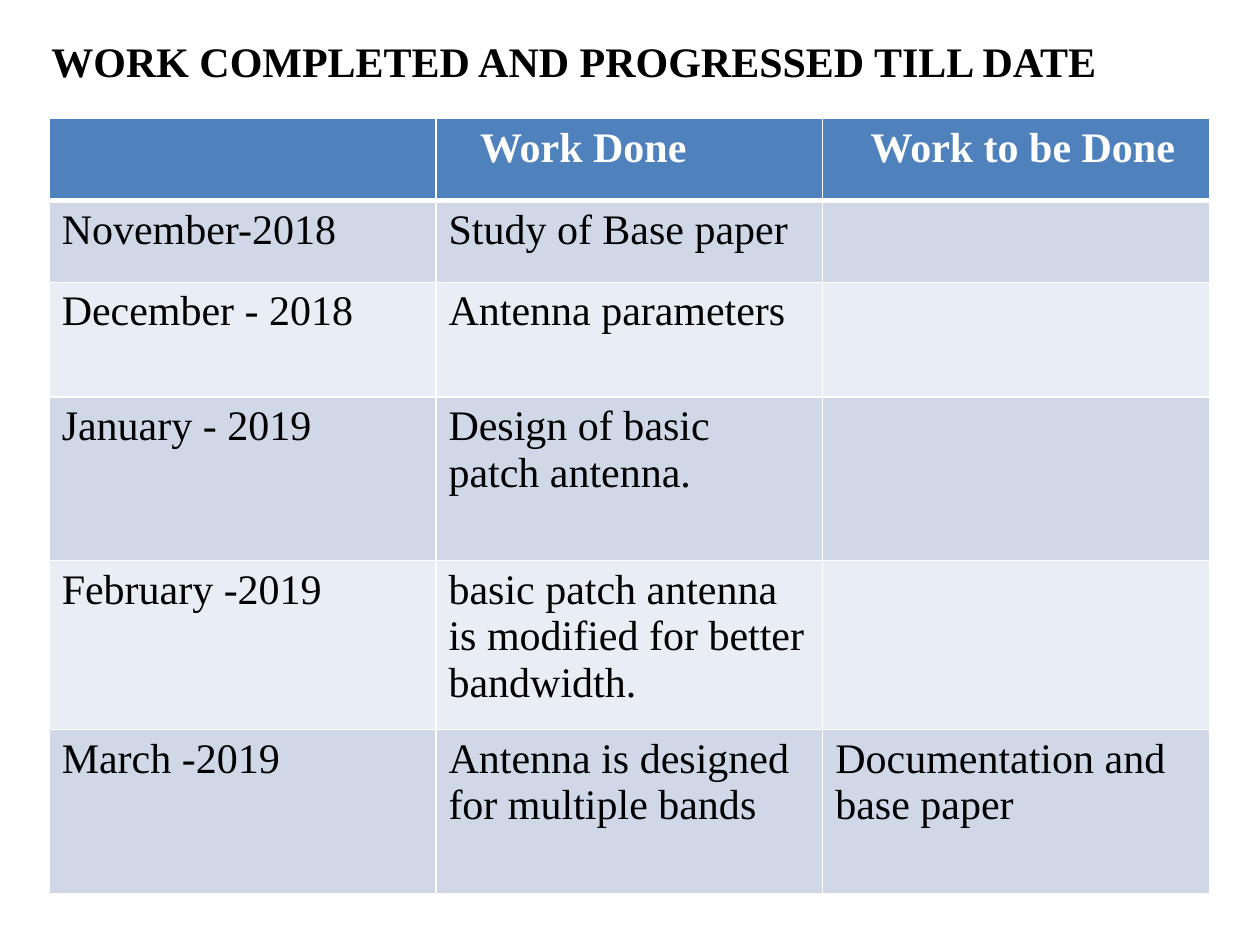
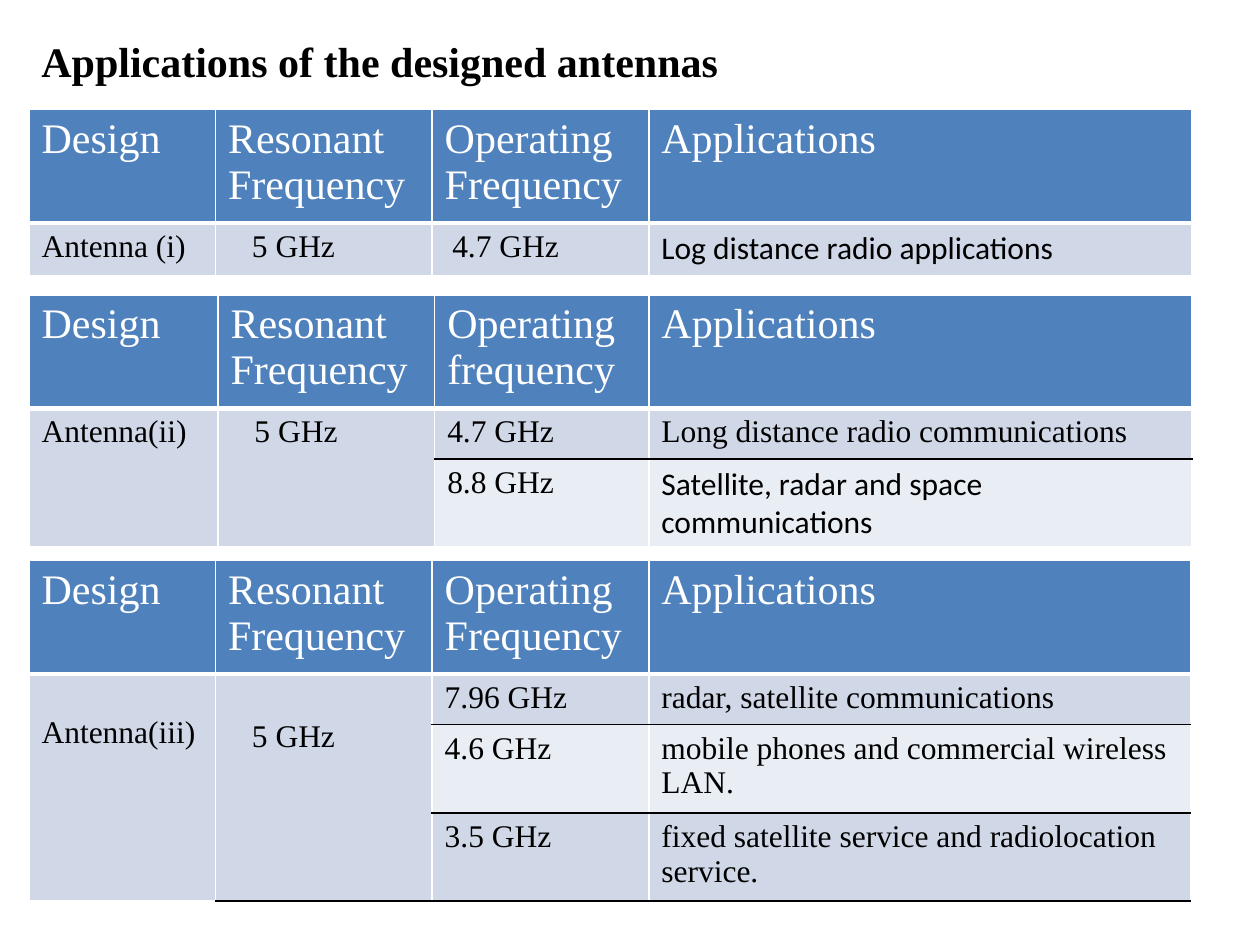
from dataclasses import dataclass

from lxml import etree
from pptx import Presentation
from pptx.dml.color import RGBColor
from pptx.oxml import ns
from pptx.util import Inches, Pt

SERIF, SANS = "Times New Roman", "Calibri"
HEADER, BAND_DARK, BAND_LIGHT = "4F81BD", "D0D8E8", "E9EDF4"
WHITE, BLACK = "FFFFFF", "000000"
THIN, THICK, RULE = (WHITE, 1), (WHITE, 3), (BLACK, 1)
TITLE_TOP, TITLE_HEIGHT = 0.23, 0.5
CELL_LEFT, CELL_TOP = 0.1, 0.05


@dataclass
class Entry:
    """Hold the words of one cell and how they differ from its neighbours."""

    words: str = ""
    indent: float = 0
    drop: float = 0
    font: str = SERIF


def rgb(color):
    """Turn a hex string into a colour."""
    return RGBColor.from_string(color)


def style(paragraph, size, color, bold=False, font=SERIF):
    """Format every run of a paragraph."""
    for run in paragraph.runs:
        run.font.name = font
        run.font.size = Pt(size)
        run.font.bold = bold
        run.font.color.rgb = rgb(color)


def add_title(slide, words, left, width):
    """Place the bold heading at the top of a slide."""
    title = slide.shapes.add_textbox(Inches(left), Inches(TITLE_TOP),
                                     Inches(width), Inches(TITLE_HEIGHT))
    title.text_frame.word_wrap = True
    title.text_frame.text = words
    style(title.text_frame.paragraphs[0], 24, BLACK, bold=True)


def set_borders(cell, top, bottom):
    """Draw thin white sides and the given top and bottom edges."""
    properties = cell._tc.get_or_add_tcPr()
    edges = (("lnL", THIN), ("lnR", THIN), ("lnT", top), ("lnB", bottom))
    for place, (tag, (color, width)) in enumerate(edges):
        line = etree.Element(ns.qn(f"a:{tag}"), w=str(Pt(width)))
        fill = etree.SubElement(line, ns.qn("a:solidFill"))
        etree.SubElement(fill, ns.qn("a:srgbClr"), val=color)
        properties.insert(place, line)


def fill_cell(cell, entry, fill, size, color, bold):
    """Paint a cell and write its words."""
    cell.fill.solid()
    cell.fill.fore_color.rgb = rgb(fill)
    cell.margin_left = Inches(CELL_LEFT + entry.indent)
    cell.margin_top = Inches(CELL_TOP + entry.drop)
    if entry.words:
        cell.text_frame.text = entry.words
        style(cell.text_frame.paragraphs[0], size, color, bold, entry.font)


def add_banded_table(slide, left, top, widths, heights, rows, body_size=24,
                     bold_header=False, merged=0, ruled=False, closed=False):
    """Place a banded table whose first columns may merge below the header."""
    last = len(heights)
    table = slide.shapes.add_table(
        last, len(widths), Inches(left), Inches(top),
        Inches(sum(widths)), Inches(sum(heights))).table
    for column, width in zip(table.columns, widths):
        column.width = Inches(width)
    for row, height in zip(table.rows, heights):
        row.height = Inches(height)
    for column in range(merged):
        table.cell(1, column).merge(table.cell(last - 1, column))

    def edge(level, column):
        """Choose the line that lies above the row of this level."""
        if level == 1:
            return THICK
        if level == last:
            return RULE if closed and column > 0 else THIN
        return RULE if ruled and level > 1 and column >= merged else THIN

    for r, entries in enumerate(rows):
        for c, entry in enumerate(entries):
            cell = table.cell(r, c)
            if not isinstance(entry, Entry):
                entry = Entry(entry)
            if r == 0:
                fill_cell(cell, entry, HEADER, 24, WHITE, bold_header)
            else:
                band = BAND_DARK if r % 2 else BAND_LIGHT
                fill_cell(cell, entry, band, body_size, BLACK, False)
            span = cell.span_height if cell.is_merge_origin else 1
            set_borders(cell, edge(r, c), edge(r + span, c))


def build_progress(slide):
    """Build the slide of work done month by month."""
    add_banded_table(
        slide, 0.39, 0.94, [3.07] * 3, [0.65, 0.65, 0.91, 1.3, 1.34, 1.3],
        [["", Entry("Work Done", indent=0.25), Entry("Work to be Done", indent=0.28)],
         ["November-2018", "Study of Base paper", ""],
         ["December - 2018", "Antenna parameters", ""],
         ["January - 2019", "Design of basic patch antenna.", ""],
         ["February -2019", "basic patch antenna is modified for better bandwidth.", ""],
         ["March -2019", "Antenna is designed for multiple bands",
          "Documentation and base paper"]],
        bold_header=True)
    add_title(slide, "WORK COMPLETED AND PROGRESSED TILL DATE", 0.31, 8.83)


def add_antenna_table(slide, top, widths, heights, rows,
                      operating="Operating Frequency", closed=False):
    """Place the table of one antenna design."""
    header = ["Design", "Resonant Frequency", operating, "Applications"]
    add_banded_table(slide, 0.23, top, widths, [0.9] + heights, [header] + rows,
                     body_size=18, merged=2 if len(rows) > 1 else 0,
                     ruled=True, closed=closed)


def build_applications(slide):
    """Build the slide of applications for each antenna."""
    resonant = Entry("5 GHz", indent=0.19)
    add_antenna_table(
        slide, 0.87, [1.48, 1.72, 1.72, 4.31], [0.42],
        [["Antenna (i)", resonant, Entry("4.7 GHz", indent=0.06),
          Entry("Log distance radio applications", font=SANS)]])
    add_antenna_table(
        slide, 2.34, [1.5, 1.72, 1.7, 4.31], [0.4, 0.7],
        [["Antenna(ii)", resonant, "4.7 GHz", "Long distance radio communications"],
         ["", "", "8.8 GHz",
          Entry("Satellite, radar and space communications", font=SANS)]],
        operating="Operating frequency")
    add_antenna_table(
        slide, 4.45, [1.48, 1.72, 1.72, 4.3], [0.4, 0.7, 0.7],
        [[Entry("Antenna(iii)", drop=0.28), Entry("5 GHz", indent=0.19, drop=0.31),
          "7.96 GHz", "radar, satellite communications"],
         ["", "", "4.6 GHz", "mobile phones and commercial wireless LAN."],
         ["", "", "3.5 GHz", "fixed satellite service and radiolocation service."]],
        closed=True)
    add_title(slide, "Applications of the designed antennas", 0.23, 9.28)


def main():
    """Build and save the presentation."""
    deck = Presentation()
    deck.slide_width, deck.slide_height = Inches(10), Inches(7.5)
    for build in (build_progress, build_applications):
        build(deck.slides.add_slide(deck.slide_layouts[6]))
    deck.save("out.pptx")


if __name__ == "__main__":
    main()
